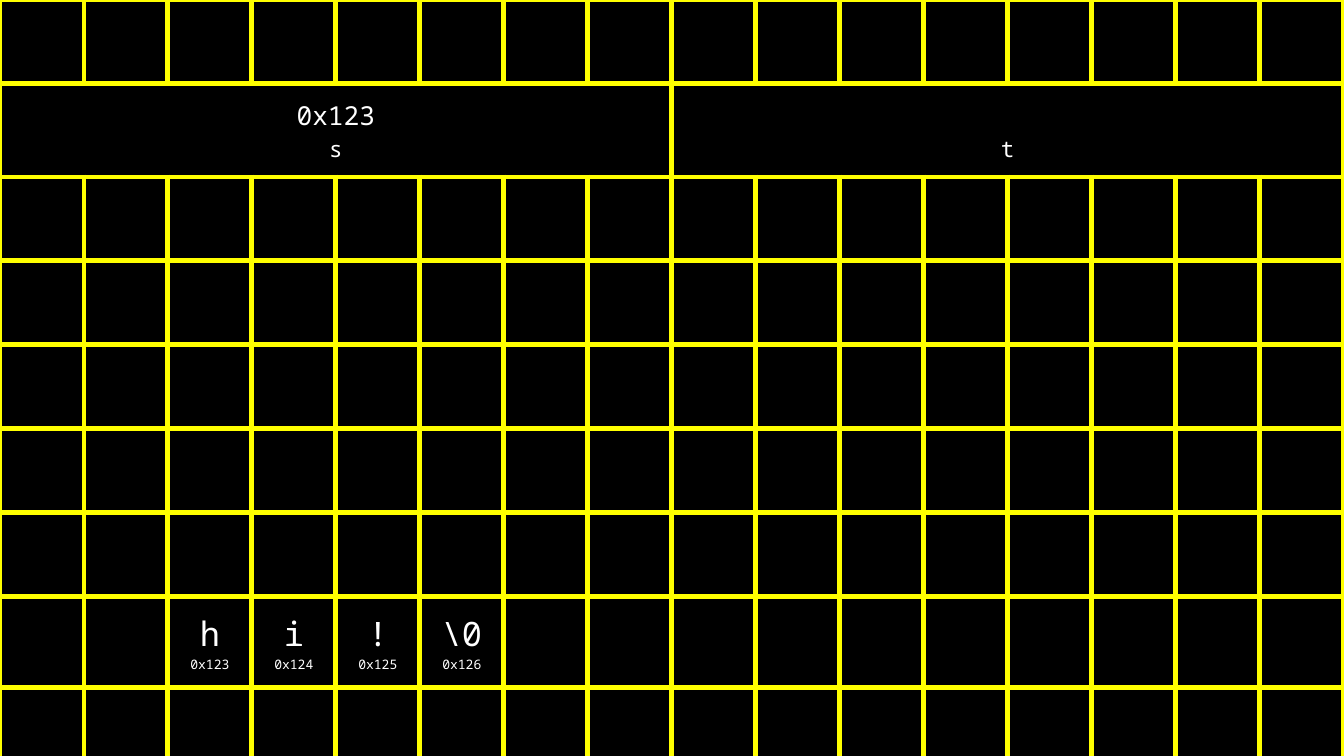
"""Build a memory grid slide: pointers s and t, and the bytes of a string."""
from lxml import etree
from pptx import Presentation
from pptx.dml.color import RGBColor
from pptx.enum.text import MSO_ANCHOR, PP_ALIGN
from pptx.oxml.ns import qn
from pptx.util import Pt

CENTER = PP_ALIGN.CENTER
BOTTOM = MSO_ANCHOR.BOTTOM
BLACK = RGBColor(0x00, 0x00, 0x00)
WHITE = RGBColor(0xFF, 0xFF, 0xFF)
YELLOW = RGBColor(0xFF, 0xFF, 0x00)
FONT = "Noto Sans Mono"
ROWS, COLUMNS = 12, 16
CELL_SIZE = Pt(45)
MARGIN = Pt(7.2)
BORDER_WIDTH = Pt(3)
POINTER_ROW, STRING_ROW = 1, 7
POINTER_SPAN = 8
STRING_START = 2
FIRST_ADDRESS = 0x123


def add_borders(cell):
    properties = cell._tc.get_or_add_tcPr()
    for side in ("a:lnL", "a:lnR", "a:lnT", "a:lnB"):
        line = etree.SubElement(properties, qn(side), w=str(BORDER_WIDTH))
        fill = etree.SubElement(line, qn("a:solidFill"))
        etree.SubElement(fill, qn("a:srgbClr"), val=str(YELLOW))


def write_cell(cell, lines):
    cell.text_frame.text = "\n".join(text for text, size in lines)
    for paragraph, (text, size) in zip(cell.text_frame.paragraphs, lines):
        paragraph.alignment = CENTER
        font = paragraph.runs[0].font
        font.name = FONT
        font.size = Pt(size)
        font.color.rgb = WHITE


presentation = Presentation()
presentation.slide_width = Pt(720)
presentation.slide_height = Pt(405)
slide = presentation.slides.add_slide(presentation.slide_layouts[6])
slide.background.fill.solid()
slide.background.fill.fore_color.rgb = BLACK

memory = slide.shapes.add_table(
    ROWS, COLUMNS, Pt(0), Pt(0), COLUMNS * CELL_SIZE, ROWS * CELL_SIZE
).table
memory.first_row = False
memory.horz_banding = False
for column in memory.columns:
    column.width = CELL_SIZE
for row in memory.rows:
    row.height = CELL_SIZE
for cell in memory.iter_cells():
    add_borders(cell)
    cell.fill.background()
    cell.margin_left = cell.margin_right = MARGIN
    cell.margin_top = cell.margin_bottom = MARGIN

pointers = [
    [(f"0x{FIRST_ADDRESS:x}", 14), ("s", 12)],
    [("t", 12)],
]
for index, lines in enumerate(pointers):
    first = index * POINTER_SPAN
    cell = memory.cell(POINTER_ROW, first)
    cell.merge(memory.cell(POINTER_ROW, first + POINTER_SPAN - 1))
    cell.vertical_anchor = BOTTOM
    write_cell(cell, lines)

for index, character in enumerate(["h", "i", "!", "\\0"]):
    address = f"0x{FIRST_ADDRESS + index:x}"
    write_cell(
        memory.cell(STRING_ROW, STRING_START + index),
        [(character, 18), (address, 7)],
    )

presentation.save("out.pptx")
